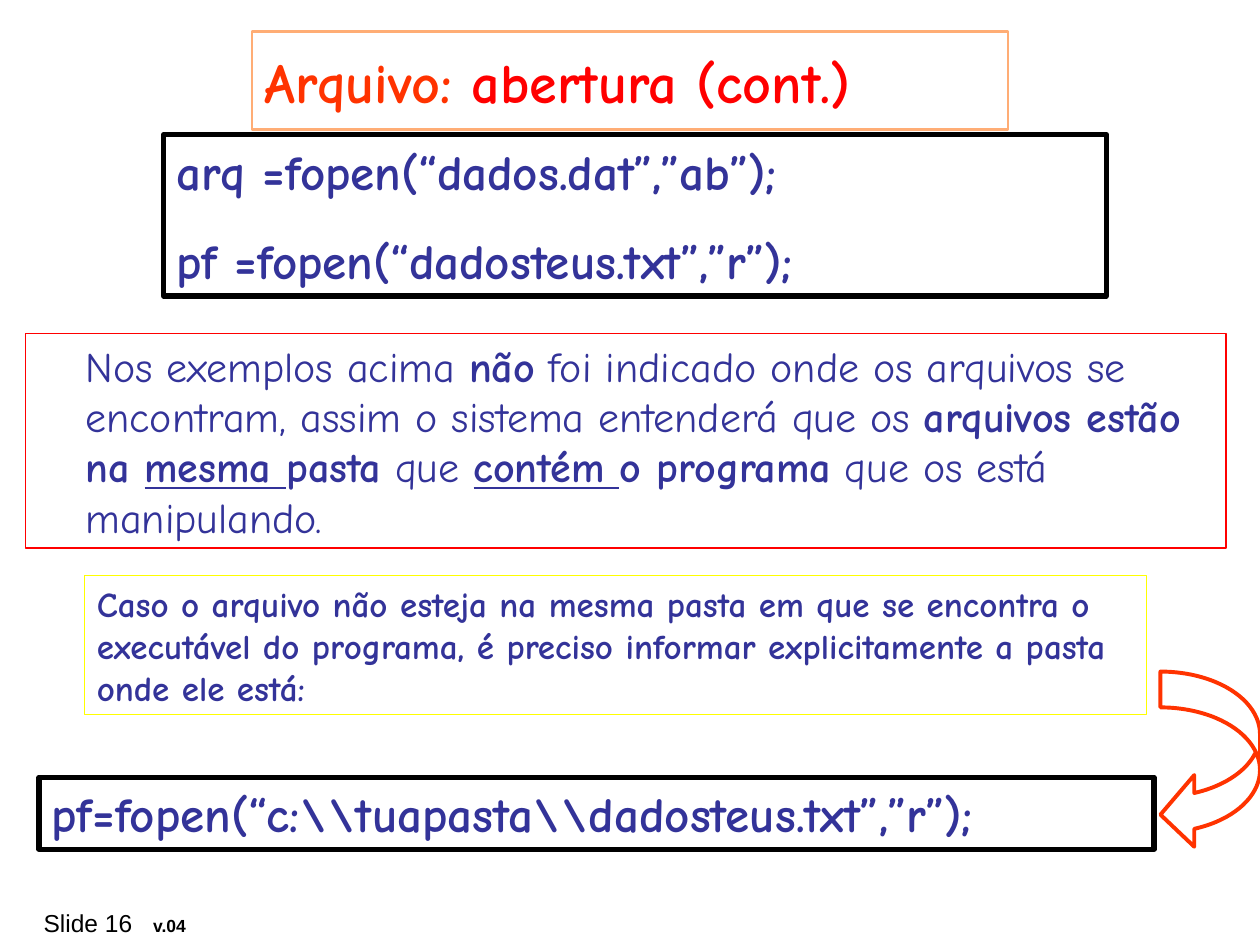
from pptx import Presentation
from pptx.dml.color import RGBColor
from pptx.enum.shapes import MSO_SHAPE as Kind
from pptx.enum.text import MSO_ANCHOR as Anchor, PP_ALIGN as Align
from pptx.oxml import parse_xml
from pptx.oxml.ns import nsdecls
from pptx.util import Inches, Pt

HUES = {"black": "000000", "navy": "333399", "red": "FF0000",
        "orange": "FF3300", "peach": "FFAD75", "yellow": "FFFF00"}

deck = Presentation()
deck.slide_width, deck.slide_height = Inches(10), Inches(7.5)
slide = deck.slides.add_slide(deck.slide_layouts[6])


def add_box(kind, place, hue=None, width=0):
    """Add an unfilled shape, with an outline only if a hue is given."""
    box = slide.shapes.add_shape(kind, *(Inches(n) for n in place))
    box.shadow.inherit = False
    box.fill.background()
    if hue:
        box.line.color.rgb = RGBColor.from_string(HUES[hue])
        box.line.width = Pt(width)
    else:
        box.line.fill.background()
    return box


def add_run(para, text, hue, **style):
    run = para.add_run()
    run.text = text
    run.font.color.rgb = RGBColor.from_string(HUES[hue])
    for name, value in style.items():
        setattr(run.font, name, value)


# Footer
foot = add_box(Kind.ROUNDED_RECTANGLE, (0.27, 7.16, 1.25, 0.33))
frame = foot.text_frame
frame.word_wrap = True
frame.vertical_anchor = Anchor.MIDDLE
frame.margin_left, frame.margin_right = Inches(0.06), 0
para = frame.paragraphs[0]
para.alignment = Align.LEFT
para._p.get_or_add_pPr().append(parse_xml(
    f'<a:tabLst {nsdecls("a")}><a:tab pos="{Inches(0.87)}" algn="l"/></a:tabLst>'))
add_run(para, "Slide 16\t", "black", name="Arial", size=Pt(14))
add_run(para, "v.04", "black", name="Arial", size=Pt(10), bold=True)

# Framed texts: place, outline, width, size, anchor, paragraphs of (text, hue, style)
bold, plain = {"bold": True}, {"bold": False}
under = {"bold": True, "underline": True}
boxes = [
    ((0.2, 2.65, 9.53, 1.7), "red", 0.75, 24, Anchor.TOP, [[
        ("Nos exemplos acima ", "navy", plain),
        ("não", "navy", bold),
        (" foi indicado onde os arquivos se encontram, assim o sistema "
         "entenderá que os ", "navy", plain),
        ("arquivos estão na ", "navy", bold),
        ("mesma ", "navy", under),
        ("pasta", "navy", bold),
        (" que ", "navy", plain),
        ("contém ", "navy", under),
        ("o programa", "navy", bold),
        (" que os está manipulando.", "navy", plain)]]),
    ((1.3, 1.07, 7.48, 1.28), "black", 3, 28, Anchor.TOP, [
        [("arq =fopen(“dados.dat”,”ab”);", "navy", bold)],
        [("pf =fopen(“dadosteus.txt”,”r”);", "navy", bold)]]),
    ((0.67, 4.57, 8.43, 1.1), "yellow", 0.75, 20, Anchor.TOP, [[
        ("Caso o arquivo não esteja na mesma pasta em que se encontra o "
         "executável do programa, é preciso informar explicitamente a pasta "
         "onde ele está:", "navy", bold)]]),
    ((0.31, 6.17, 8.85, 0.57), "black", 3, 28, Anchor.TOP, [
        [("pf=fopen(“c:\\\\tuapasta\\\\dadosteus.txt”,”r”);", "navy", bold)]]),
    ((2, 0.25, 6, 0.78), "peach", 1.5, 32, Anchor.MIDDLE, [
        [("Arquivo: ", "orange", bold), ("abertura (cont.)", "red", bold)]]),
]
for place, hue, width, size, anchor, paras in boxes:
    frame = add_box(Kind.RECTANGLE, place, hue, width).text_frame
    frame.word_wrap = True
    frame.vertical_anchor = anchor
    for i, runs in enumerate(paras):
        para = frame.add_paragraph() if i else frame.paragraphs[0]
        para.alignment = Align.LEFT
        if i:
            para.space_before = Pt(17.5)
        if hue == "red":
            para._p.get_or_add_pPr().set("marL", str(Inches(0.38)))
        for text, tint, style in runs:
            add_run(para, text, tint, name="Comic Neue", size=Pt(size), **style)

# Arrow from the explanation to the full path
arrow = add_box(Kind.CURVED_LEFT_ARROW, (9.21, 5.33, 0.79, 1.42), "orange", 2.25)
for i, ratio in enumerate((0.36, 0.72, 0.34)):
    arrow.adjustments[i] = ratio

deck.save("out.pptx")
